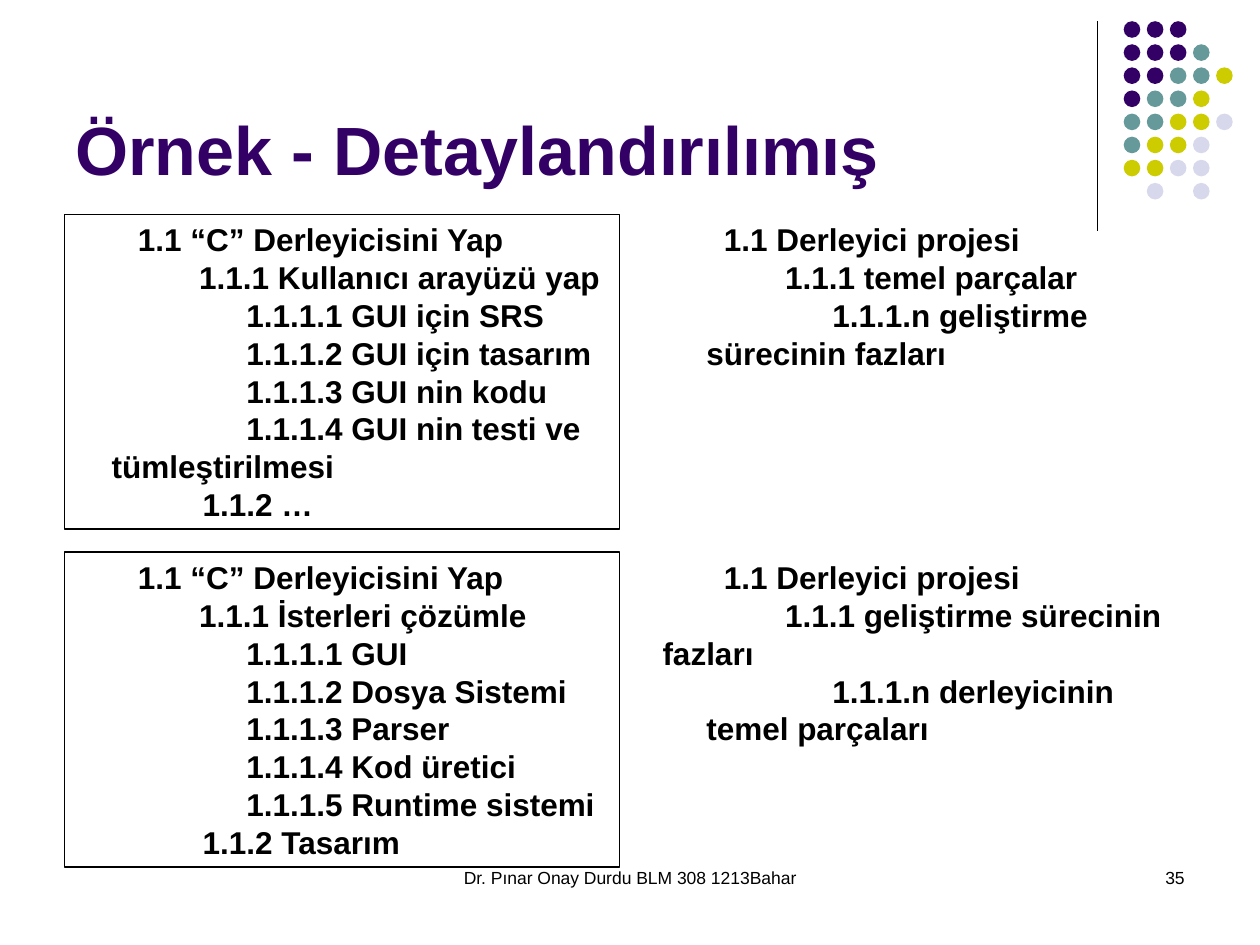
from pptx import Presentation
from pptx import util as u
from pptx.dml.color import RGBColor
from pptx.enum import shapes, text
from lxml import etree
from pptx.oxml.ns import qn

COLORS = {"ink": "000000", "purple": "330066", "teal": "669999",
          "olive": "CCCC00", "lilac": "D8D8EC"}


class Deck:
    """Holds the style and the current slide; all lengths are in points."""
    font = "Arial"
    rule = 0.74

    def __init__(self, width, height):
        self.prs = Presentation()
        self.prs.slide_width, self.prs.slide_height = u.Pt(width), u.Pt(height)
        self.slide = self.prs.slides.add_slide(self.prs.slide_layouts[6])

    def color(self, name):
        return RGBColor.from_string(COLORS[name])

    def line(self, x1, y1, x2, y2):
        divider = self.slide.shapes.add_connector(
            shapes.MSO_CONNECTOR.STRAIGHT, *map(u.Pt, (x1, y1, x2, y2)))
        divider.line.color.rgb = self.color("ink")
        divider.line.width = u.Pt(self.rule)
        etree.SubElement(divider._element.spPr, qn("a:effectLst"))

    def dot(self, x, y, size, color):
        dot = self.slide.shapes.add_shape(
            shapes.MSO_SHAPE.OVAL, *map(u.Pt, (x, y, size, size)))
        dot.shadow.inherit = False
        dot.fill.solid()
        dot.fill.fore_color.rgb = self.color(color)
        dot.line.fill.background()

    def set_text(self, shape, lines, size, color="ink", bold=False,
                 align="LEFT", anchor="TOP", leading=None):
        """Each line is (wording, first-line indent, indent of wrapped lines)."""
        frame = shape.text_frame
        frame.word_wrap = True
        frame.vertical_anchor = text.MSO_ANCHOR[anchor]
        for number, (wording, first, wrapped) in enumerate(lines):
            para = frame.add_paragraph() if number else frame.paragraphs[0]
            para.alignment = text.PP_ALIGN[align]
            if leading:
                para.line_spacing = u.Pt(leading)
            props = para._p.get_or_add_pPr()
            props.set("marL", str(u.Pt(wrapped)))
            props.set("indent", str(u.Pt(first - wrapped)))
            run = para.add_run()
            run.text = wording
            run.font.name, run.font.size = self.font, u.Pt(size)
            run.font.bold = bold
            run.font.color.rgb = self.color(color)

    def label(self, x, y, w, h, wording, size, **style):
        box = self.slide.shapes.add_textbox(*map(u.Pt, (x, y, w, h)))
        self.set_text(box, [(wording, 0, 0)], size, **style)

    def outline(self, x, y, w, h, lines, framed):
        place = tuple(map(u.Pt, (x, y, w, h)))
        if framed:
            box = self.slide.shapes.add_shape(shapes.MSO_SHAPE.RECTANGLE, *place)
            box.shadow.inherit = False
            box.fill.background()
            box.line.color.rgb = self.color("ink")
            box.line.width = u.Pt(self.rule)
        else:
            box = self.slide.shapes.add_textbox(*place)
        self.set_text(box, lines, 18, bold=True, leading=21.6)


deck = Deck(720, 540)

# Corner ornament: divider and dot grid
deck.line(627.1, 12.2, 627.1, 131.8)
DOT_KEYS = {"p": "purple", "t": "teal", "o": "olive", "l": "lilac"}
DOT_ROWS = ["ppp", "pppt", "pptto", "ptto", "ttool", "tool", "ooll", " l l"]
for row, keys in enumerate(DOT_ROWS):
    for col, key in enumerate(keys):
        if key in DOT_KEYS:
            deck.dot(642.1 + 13.2 * col, 12.1 + 13.2 * row, 9.5, DOT_KEYS[key])

# Footer and title
deck.label(246, 492, 228, 36, "Dr. Pınar Onay Durdu BLM 308 1213Bahar", 10,
           align="CENTER")
deck.label(516, 492, 168, 36, "35", 10, align="RIGHT")
deck.label(36, 9.5, 594, 102, "Örnek - Detaylandırılımış", 39,
           color="purple", bold=True, anchor="BOTTOM")

# Work breakdown outlines: detailed on the left, general on the right
ROOT, BRANCH, LEAF, NEXT = 35, 70, 97, 72
LEFT, RIGHT, TOP, BOTTOM, WIDTH = 36.7, 371.5, 122.4, 315.4, 317.5


def leaves(*wordings):
    return [(f"1.1.1.{n} {wording}", LEAF, 20)
            for n, wording in enumerate(wordings, 1)]


by_part = [("1.1 “C” Derleyicisini Yap", ROOT, 0),
           ("1.1.1 Kullanıcı arayüzü yap", BRANCH, 0),
           *leaves("GUI için SRS", "GUI için tasarım", "GUI nin kodu",
                   "GUI nin testi ve tümleştirilmesi"),
           ("1.1.2 …", NEXT, 0)]
by_phase = [("1.1 “C” Derleyicisini Yap", ROOT, 0),
            ("1.1.1 İsterleri çözümle", BRANCH, 0),
            *leaves("GUI", "Dosya Sistemi", "Parser", "Kod üretici",
                    "Runtime sistemi"),
            ("1.1.2 Tasarım", NEXT, 0)]
part_pattern = [("1.1 Derleyici projesi", ROOT, 0),
                ("1.1.1 temel parçalar", BRANCH, 0),
                ("1.1.1.n geliştirme sürecinin fazları", LEAF, 25)]
phase_pattern = [("1.1 Derleyici projesi", ROOT, 0),
                 ("1.1.1 geliştirme sürecinin fazları", BRANCH, 0),
                 ("1.1.1.n derleyicinin temel parçaları", LEAF, 25)]

deck.outline(LEFT, TOP, WIDTH, 180, by_part, framed=True)
deck.outline(LEFT, BOTTOM, WIDTH, 180, by_phase, framed=True)
deck.outline(RIGHT, TOP, WIDTH, 93.6, part_pattern, framed=False)
deck.outline(RIGHT, BOTTOM, WIDTH, 115.2, phase_pattern, framed=False)

deck.prs.save("out.pptx")
